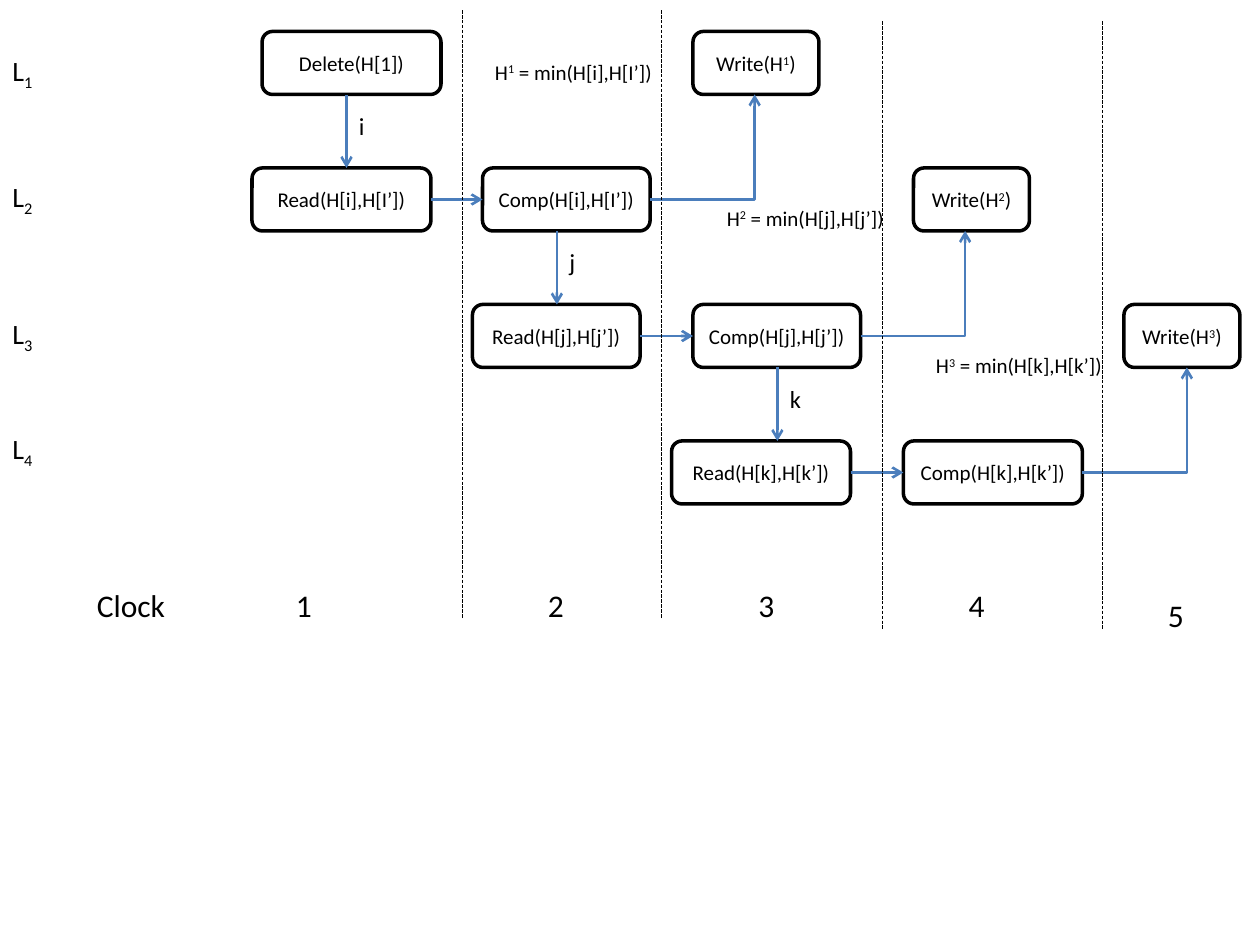
"""Draw a heap deletion pipeline: levels by row, clock steps by column."""
import dataclasses
import typing

import lxml.etree
import pptx
import pptx.dml.color
import pptx.enum.dml
import pptx.enum.shapes
import pptx.enum.text
import pptx.oxml.ns
import pptx.util

Inches = pptx.util.Inches
Kind = pptx.enum.shapes.MSO_CONNECTOR
Point = tuple[float, float]


@dataclasses.dataclass(frozen=True)
class Theme:
    font: str = "Calibri"
    ink: str = "000000"
    paper: str = "FFFFFF"
    arrow: str = "4B7EBC"
    small: float = 12
    step: float = 14
    level: float = 16
    clock: float = 18
    edge: float = 2
    flow: float = 1.5
    rule: float = 0.25


@dataclasses.dataclass(frozen=True)
class Box:
    text: str
    left: float
    row: int
    width: float

    @property
    def top(self) -> float:
        return TOP + GAP * self.row

    @property
    def mid(self) -> float:
        return self.top + HIGH / 2


class Label(typing.NamedTuple):
    text: str
    left: float
    top: float
    width: float
    height: float
    size: float
    wrap: bool = True
    shift: int = 30


THEME = Theme()
TOP, HIGH, GAP = 0.25, 0.5, 13 / 12
BOXES = {
    "delete": Box("Delete(H[1])", 2.08, 0, 1.42),
    "write1": Box("Write(H|1|)", 5.5, 0, 1),
    "read1": Box("Read(H[i],H[I’])", 2, 1, 1.42),
    "comp1": Box("Comp(H[i],H[I’])", 3.83, 1, 1.33),
    "read2": Box("Read(H[j],H[j’])", 3.75, 2, 1.33),
    "comp2": Box("Comp(H[j],H[j’])", 5.5, 2, 1.33),
    "write2": Box("Write(H|2|)", 7.25, 1, 0.92),
    "read3": Box("Read(H[k],H[k’])", 5.33, 3, 1.42),
    "comp3": Box("Comp(H[k],H[k’])", 7.17, 3, 1.42),
    "write3": Box("Write(H|3|)", 8.92, 2, 0.92),
}
LEVELS = [Label(f"L|{n}|", 0, y, 0.83, 0.37, THEME.level, shift=-25)
          for n, y in enumerate((0.38, 1.38, 2.46, 3.38), 1)]
CLOCK = [Label(text, x, y, wide, 0.4, THEME.clock, wrap=False)
         for text, x, y, wide in (("Clock", 0.67, 4.6, 0.75), ("1", 2.25, 4.6, 0.33),
                                  ("2", 4.25, 4.6, 0.33), ("3", 5.92, 4.6, 0.33),
                                  ("4", 7.59, 4.6, 0.33), ("5", 9.17, 4.68, 0.33))]
STEPS = [Label(text, x, y, 0.83, 0.34, THEME.step)
         for text, x, y in (("i", 2.75, 0.83), ("j", 4.42, 1.91), ("k", 6.17, 3))]
MINS = [Label(f"H|{n}| = min({args})", x, y, 1.67, 0.3, THEME.small)
        for n, args, x, y in ((1, "H[i],H[I’]", 3.83, 0.42), (2, "H[j],H[j’]", 5.67, 1.58),
                              (3, "H[k],H[k’]", 7.33, 2.75))]


def color(code: str) -> pptx.dml.color.RGBColor:
    return pptx.dml.color.RGBColor.from_string(code)


def style(item: typing.Any, form: dict[str, typing.Any]) -> None:
    for name, value in form.items():
        setattr(item, name, value)


def write(frame: typing.Any, text: str, size: float, shift: int = 30) -> None:
    for n, part in enumerate(text.split("|")):
        if part:
            run = frame.paragraphs[0].add_run()
            run.text = part
            style(run.font, {"name": THEME.font, "size": pptx.util.Pt(size)})
            run.font.color.rgb = color(THEME.ink)
            if n % 2:
                run._r.get_or_add_rPr().set("baseline", str(shift * 1000))


def draw_box(slide: typing.Any, box: Box) -> None:
    shape = slide.shapes.add_shape(
        pptx.enum.shapes.MSO_SHAPE.ROUNDED_RECTANGLE,
        Inches(box.left), Inches(box.top), Inches(box.width), Inches(HIGH))
    shape.shadow.inherit = False
    shape.fill.solid()
    shape.fill.fore_color.rgb = color(THEME.paper)
    shape.line.color.rgb = color(THEME.ink)
    shape.line.width = pptx.util.Pt(THEME.edge)
    style(shape.text_frame, {"word_wrap": True,
                             "vertical_anchor": pptx.enum.text.MSO_ANCHOR.MIDDLE})
    shape.text_frame.paragraphs[0].alignment = pptx.enum.text.PP_ALIGN.CENTER
    write(shape.text_frame, box.text, THEME.small)


def draw_label(slide: typing.Any, label: Label) -> None:
    area = slide.shapes.add_textbox(
        *(Inches(v) for v in (label.left, label.top, label.width, label.height)))
    style(area.text_frame, {"word_wrap": label.wrap,
                            "auto_size": pptx.enum.text.MSO_AUTO_SIZE.SHAPE_TO_FIT_TEXT})
    write(area.text_frame, label.text, label.size, label.shift)


def draw_line(slide: typing.Any, start: Point, end: Point, code: str, width: float,
              kind: Kind = Kind.STRAIGHT) -> typing.Any:
    line = slide.shapes.add_connector(kind, *(Inches(v) for v in start + end))
    line.line.color.rgb = color(code)
    line.line.width = pptx.util.Pt(width)
    lxml.etree.SubElement(line._element.spPr, pptx.oxml.ns.qn("a:effectLst"))
    return line


def draw_arrow(slide: typing.Any, start: Point, end: Point,
               kind: Kind = Kind.STRAIGHT) -> None:
    arrow = draw_line(slide, start, end, THEME.arrow, THEME.flow, kind)
    tail = lxml.etree.SubElement(arrow.line._get_or_add_ln(), pptx.oxml.ns.qn("a:tailEnd"))
    tail.set("type", "arrow")
    if kind == Kind.ELBOW:
        arrow._element.spPr.find(pptx.oxml.ns.qn("a:prstGeom")).set("prst", "bentConnector2")


def main() -> None:
    deck = pptx.Presentation()
    style(deck, {"slide_width": Inches(10), "slide_height": Inches(7.5)})
    slide = deck.slides.add_slide(deck.slide_layouts[6])
    for box in BOXES.values():
        draw_box(slide, box)
    for row, x in enumerate((2.75, 4.42, 6.17)):
        top = TOP + GAP * row
        draw_arrow(slide, (x, top + HIGH), (x, top + GAP))
    for n in (1, 2, 3):
        read, comp, last = (BOXES[f"{name}{n}"] for name in ("read", "comp", "write"))
        draw_arrow(slide, (read.left + read.width, read.mid), (comp.left, comp.mid))
        right = comp.left + comp.width
        draw_arrow(slide, (right, comp.mid), (right + 0.83, last.top + HIGH), Kind.ELBOW)
    for x, top in ((3.67, 0.08), (5.25, 0.08), (7, 0.17), (8.75, 0.17)):
        rule = draw_line(slide, (x, top), (x, top + 4.83), THEME.ink, THEME.rule)
        rule.line.dash_style = pptx.enum.dml.MSO_LINE.LONG_DASH
    for label in LEVELS + CLOCK + STEPS + MINS:
        draw_label(slide, label)
    deck.save("out.pptx")


main()
